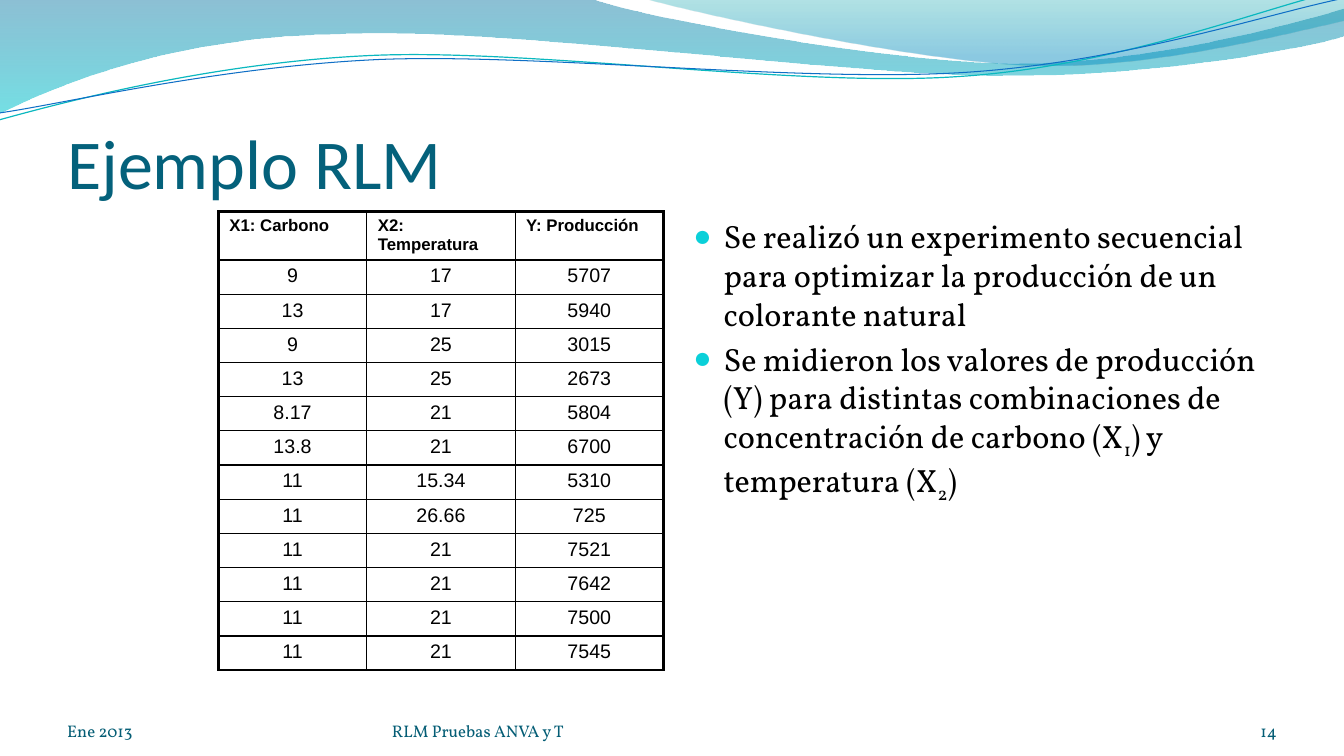
from lxml import etree
from pptx import Presentation
from pptx import util as u
from pptx.dml.color import RGBColor
from pptx.enum import text as t
from pptx.oxml import ns

TITLE = RGBColor(0x04, 0x61, 0x7B)
FOOT = RGBColor(0x04, 0x5D, 0x75)
BLACK = RGBColor(0, 0, 0)
BULLET = RGBColor(0x0B, 0xD0, 0xD9)
BLUE = RGBColor(0x00, 0x74, 0xA1)
CYAN = RGBColor(0x00, 0xC6, 0xCF)
TEAL = RGBColor(0x00, 0xA1, 0xA9)
SKY = RGBColor(0x00, 0x8B, 0xBF)
AQUA = RGBColor(0x0A, 0xB8, 0xBF)
ROYAL = RGBColor(0x0F, 0x6F, 0xC6)
LEFT, MID, RIGHT = t.PP_ALIGN.LEFT, t.PP_ALIGN.CENTER, t.PP_ALIGN.RIGHT
COLS, ROWS = 120, 75


def node(parent, tag, **attrs):
    """Append a drawing element with its attributes."""
    return etree.SubElement(parent, ns.qn("a:" + tag), {k: str(v) for k, v in attrs.items()})


def write(para, parts, font="Vollkorn", size=12, color=BLACK, bold=False,
          align=LEFT, before=0):
    """Fill a paragraph; every second part is a subscript."""
    para.alignment = align
    para.space_before = u.Pt(round(before * size, 2))
    for i, part in enumerate([parts] if isinstance(parts, str) else parts):
        run = para.add_run()
        run.text = part
        run.font.name, run.font.size, run.font.bold = font, u.Pt(size), bold
        run.font.color.rgb = color
        if i % 2:
            run.font._element.set("baseline", "-25000")


class Deck:
    def __init__(self):
        self.prs = Presentation()
        self.prs.slide_width, self.prs.slide_height = u.Inches(13.33), u.Inches(7.5)
        self.slide = self.prs.slides.add_slide(self.prs.slide_layouts[1])
        self.shapes = self.slide.shapes

    def x(self, col):
        return round(self.prs.slide_width * col / COLS)

    def y(self, row):
        return round(self.prs.slide_height * row / ROWS)

    def box(self, col, row, wide, high):
        return self.x(col), self.y(row), self.x(wide), self.y(high)

    def curve(self, path, closed):
        """Draw a path: 2 numbers make a line, 6 numbers a Bezier curve."""
        points = [(self.x(seg[i]), self.y(seg[i + 1]))
                  for seg in path for i in range(0, len(seg), 2)]
        pen = self.shapes.build_freeform(*points[0])
        pen.add_line_segments(points[1:], close=closed)
        shape = pen.convert_to_shape()
        shape.shadow.inherit = False
        # Join the three points of each curve
        legs = iter(list(shape.element.iter(ns.qn("a:lnTo"))))
        for seg in path[1:]:
            leg = next(legs)
            if len(seg) == 6:
                leg.tag = ns.qn("a:cubicBezTo")
                for extra in (next(legs), next(legs)):
                    leg.append(extra[0])
                    extra.getparent().remove(extra)
        return shape

    def wave(self, path, *stops):
        shape = self.curve(path, True)
        shape.line.fill.background()
        shape.fill.gradient()
        shape.fill.gradient_angle = 270
        for stop, (place, color, alpha) in zip(shape.fill.gradient_stops, stops):
            stop.position, stop.color.rgb = place, color
        tints = shape.element.spPr.iter(ns.qn("a:srgbClr"))
        for tint, (place, color, alpha) in zip(tints, stops):
            node(tint, "alpha", val=alpha * 1000)

    def line(self, path, color, width):
        shape = self.curve(path, False)
        shape.fill.background()
        shape.line.color.rgb, shape.line.width = color, u.Pt(width)

    def place(self, holder, box):
        """Move a placeholder to its place, in front of what is drawn so far."""
        holder.left, holder.top, holder.width, holder.height = self.box(*box)
        self.shapes.element.append(holder.element)
        frame = holder.text_frame
        frame.auto_size, frame.word_wrap = t.MSO_AUTO_SIZE.NONE, True
        return frame

    def title(self, words, box):
        frame = self.place(self.shapes.title, box)
        frame.vertical_anchor = t.MSO_ANCHOR.BOTTOM
        frame.margin_left = frame.margin_right = frame.margin_bottom = 0
        write(frame.paragraphs[0], words, font="Calibri", size=50, color=TITLE)

    def bullets(self, items, box):
        frame = self.place(self.slide.placeholders[1], box)
        frame.vertical_anchor = t.MSO_ANCHOR.TOP
        for i, item in enumerate(items):
            para = frame.add_paragraph() if i else frame.paragraphs[0]
            write(para, item, size=23, before=0.2)
            props = para._p.get_or_add_pPr()
            indent = u.Inches(0.3)
            props.set("marL", str(indent))
            props.set("indent", str(-indent))
            node(node(props, "buClr"), "srgbClr", val=BULLET)
            node(props, "buSzPct", val=95000)
            node(props, "buFont", typeface="Arial")
            node(props, "buChar", char="●")

    def table(self, head, data, box, top, step):
        rows = [head, *data]
        table = self.shapes.add_table(len(rows), len(head), *self.box(*box)).table
        table.first_row = table.horz_banding = False
        for r, row in enumerate(rows):
            table.rows[r].height = self.y(step if r else top)
            for c, value in enumerate(row):
                cell = table.cell(r, c)
                cell.margin_left = cell.margin_right = u.Inches(0.11)
                look = dict(size=14, align=MID) if r else dict(size=12, bold=True)
                write(cell.text_frame.paragraphs[0], value, font="Arial", before=0.2, **look)
                edges = dict(L=c == 0, R=c == len(head) - 1, T=r == 0, B=r == len(rows) - 1)
                props = cell._tc.get_or_add_tcPr()
                for side, outer in edges.items():
                    rule = node(props, "ln" + side, w=u.Pt(2.25 if outer else 1))
                    node(node(rule, "solidFill"), "srgbClr", val=BLACK)
                cell.fill.background()

    def foot(self, words, box, align=LEFT):
        frame = self.shapes.add_textbox(*self.box(*box)).text_frame
        frame.word_wrap = True
        frame.vertical_anchor = t.MSO_ANCHOR.BOTTOM
        frame.margin_left = frame.margin_right = frame.margin_top = frame.margin_bottom = 0
        write(frame.paragraphs[0], words, color=FOOT, align=align)


deck = Deck()

# Waves along the top
deck.wave([(0, 0), (52.8, -0.1), (57.1, 1.7, 79.7, 6.3, 91, 6.3),
           (102.4, 6.3, 115, 2.6, 120, 0.9), (120.15, 3.6),
           (118, 4.4, 104.4, 7.6, 89.5, 7.5), (74.6, 7.5, 45.8, 2.8, 30.9, 3.4),
           (15.5, 3.6, 5.5, 8.3, -0.1, 11.3)],
          (0, BLUE, 45), (1, CYAN, 55))
deck.wave([(57.5, -0.1), (61.1, 1.1, 81.8, 6.2, 92.3, 6.5),
           (102.7, 6.9, 115.4, 3.2, 120, 2.1), (120, 0)],
          (0, TEAL, 30), (0.8, SKY, 45))
deck.line([(-0.1, 11.9), (5.8, 10.1, 19, 6.2, 33.2, 5.5),
           (47.4, 4.8, 71.1, 8.7, 85.5, 7.6), (99.9, 6.6, 112.7, 0.8, 119.8, -1)], AQUA, 0.85)
deck.line([(0, 11.2), (5.7, 10.3, 19.6, 6.6, 34, 5.9),
           (48.3, 5.3, 71.1, 8.2, 86, 7.2), (100.4, 6.2, 113, 1.4, 120.1, -0.2)], ROYAL, 0.75)

# Title
deck.title("Ejemplo RLM", (6, 7.7, 108, 12.5))

# Experiment data
carbon = "9 13 9 13 8.17 13.8 11 11 11 11 11 11".split()
heat = "17 17 25 25 21 21 15.34 26.66 21 21 21 21".split()
yields = "5707 5940 3015 2673 5804 6700 5310 725 7521 7642 7500 7545".split()
deck.table(["X1: Carbono", "X2: Temperatura", "Y: Producción"],
           zip(carbon, heat, yields), (19.5, 21, 39.75, 45.5), top=4.8, step=3.39)

# Explanation
deck.bullets(["Se realizó un experimento secuencial para optimizar la producción "
              "de un colorante natural",
              ["Se midieron los valores de producción (Y) para distintas combinaciones "
               "de concentración de carbono (X", "1", ") y temperatura (X", "2", ")"]],
             (61, 21, 53, 48.5))

# Footer
deck.foot("Ene 2013", (6, 69.5, 28, 4))
deck.foot("RLM Pruebas ANVA y T", (35, 69.5, 44, 4))
deck.foot("14", (104, 69.5, 10, 4), RIGHT)

deck.prs.save("out.pptx")
